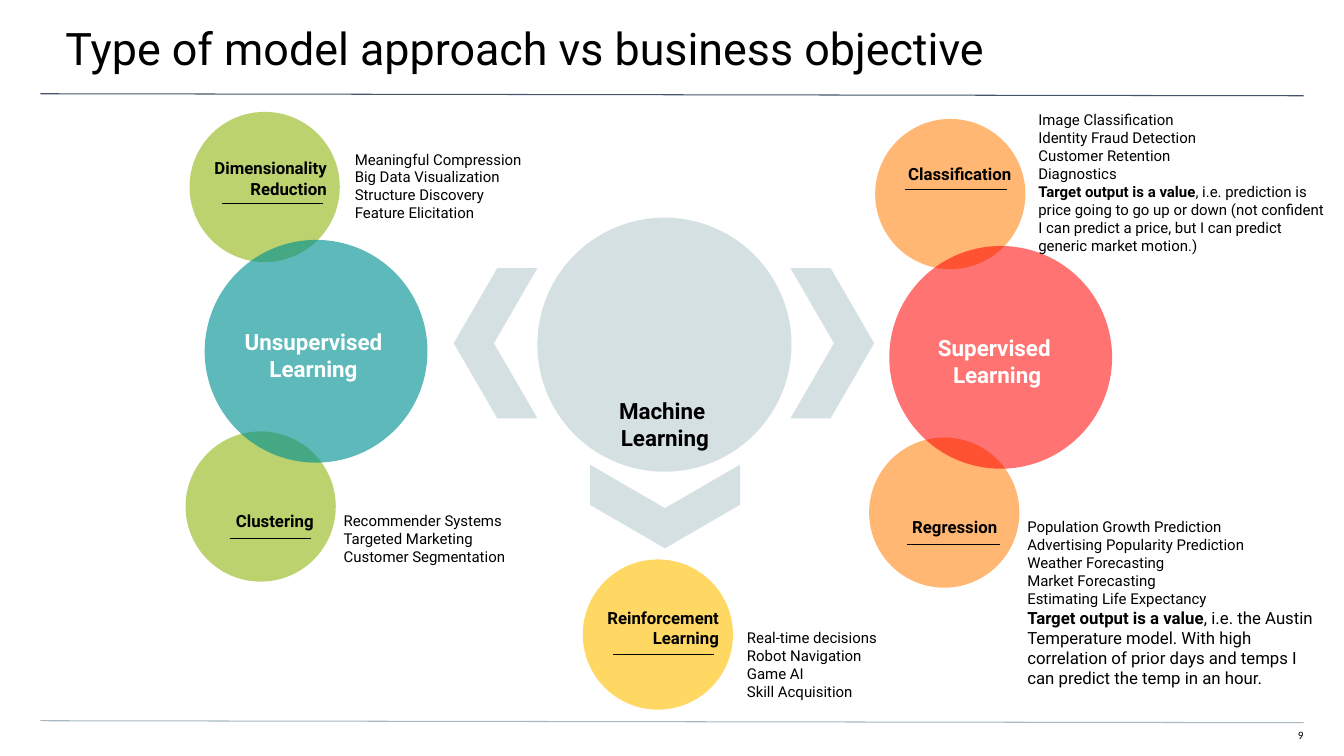
from lxml import etree
from pptx import Presentation
from pptx import util as u
from pptx.dml.color import RGBColor
from pptx.enum import shapes, text
from pptx.oxml import ns

COLORS = {"black": "000000", "white": "FFFFFF", "navy": "44546A", "steel": "A9B7C0",
          "green": "AFCA54", "gray": "C9D7DB", "teal": "009193",
          "orange": "FF7C00", "red": "FF0000", "yellow": "FFC000"}
LEFT, CENTER, RIGHT = text.PP_ALIGN.LEFT, text.PP_ALIGN.CENTER, text.PP_ALIGN.RIGHT
OVAL, CHEVRON = shapes.MSO_SHAPE.OVAL, shapes.MSO_SHAPE.CHEVRON

prs = Presentation()
prs.slide_width, prs.slide_height = u.Inches(13.33), u.Inches(7.5)
s = prs.slides.add_slide(prs.slide_layouts[6])


def add_shape(kind, x, y, w, h, color, alpha):
    sp = s.shapes.add_shape(kind, *map(u.Inches, (x, y, w, h)))
    sp.shadow.inherit = False
    sp.fill.solid()
    sp.fill.fore_color.rgb = RGBColor.from_string(COLORS[color])
    sp.line.fill.background()
    clr = sp.fill._xPr.find(".//" + ns.qn("a:srgbClr"))
    etree.SubElement(clr, ns.qn("a:alpha"), val=str(alpha * 1000))
    return sp


def add_text(x, y, w, h, paragraphs, size, color="black", align=LEFT, bold=False,
             font="Roboto", insets=(0.1, 0.05, 0.1, 0.05)):
    """Each paragraph is a string or a list of (text, format values) runs."""
    tf = s.shapes.add_textbox(*map(u.Inches, (x, y, w, h))).text_frame
    tf.word_wrap = True
    for side, inset in zip(("left", "top", "right", "bottom"), insets):
        setattr(tf, "margin_" + side, u.Inches(inset))
    for i, runs in enumerate(paragraphs):
        p = tf.add_paragraph() if i else tf.paragraphs[0]
        p.alignment = align
        for words, changes in [(runs, {})] if isinstance(runs, str) else runs:
            for n, line in enumerate(words.split("\n")):
                if n:
                    p.add_line_break()
                r = p.add_run()
                r.text = line
                values = {"name": font, "size": u.Pt(size), "bold": bold, **changes}
                for key, value in values.items():
                    setattr(r.font, key, value)
                r.font.color.rgb = RGBColor.from_string(COLORS[color])
    return tf


# Title and page number
title = add_text(0, 0, 13.33, 0.78, ["Type of model approach vs business objective"], 32,
                 insets=(0.65, 0.27, 0.4, 0.13))
title.paragraphs[0].line_spacing = 0.9
add_text(12.55, 7.23, 0.38, 0.15, ["9"], 8, align=RIGHT, font="Calibri",
         insets=(0, 0, 0, 0.13))

# Circles, the large ones over the small ones
for x, y, size, color, alpha in [
        (1.88, 1.11, 1.49, "green", 84), (1.84, 4.28, 1.49, "green", 84),
        (8.68, 1.18, 1.49, "orange", 55), (8.62, 4.34, 1.49, "orange", 55),
        (5.78, 5.55, 1.49, "yellow", 61), (5.33, 2.16, 2.52, "gray", 77),
        (2.03, 2.38, 2.21, "teal", 63), (8.82, 2.44, 2.21, "red", 55)]:
    add_shape(OVAL, x, y, size, size, color, alpha)

# Chevrons pointing down, right and left
for x, y, angle in [(6.18, 4.28, 90), (7.84, 2.66, 0), (4.5, 2.66, 180)]:
    chevron = add_shape(CHEVRON, x, y, 0.83, 1.49, "gray", 77)
    chevron.adjustments[0] = 0.52
    chevron.rotation = angle

# Rules of the page and under the circle labels
for x1, y1, x2, y2, color in [
        (0.4, 0.93, 12.93, 0.95, "navy"), (0.4, 7.15, 12.93, 7.17, "steel"),
        (2.2, 2.02, 3.2, 2.02, "black"), (2.28, 5.34, 3.08, 5.34, "black"),
        (8.98, 1.88, 9.99, 1.88, "black"), (9, 5.4, 9.92, 5.4, "black"),
        (6.08, 6.49, 7.08, 6.49, "black")]:
    rule = s.shapes.add_connector(shapes.MSO_CONNECTOR.STRAIGHT,
                                  *map(u.Inches, (x1, y1, x2, y2)))
    rule.line.width = u.Pt(0.75)
    rule.line.color.rgb = RGBColor.from_string(COLORS[color])
    etree.SubElement(rule._element.spPr, ns.qn("a:effectLst"))

# Names of the learning types
for x, y, w, name, color in [
        (5.76, 3.89, 1.67, "Machine \nLearning", "black"),
        (1.98, 3.21, 2.26, "Unsupervised Learning", "white"),
        (8.76, 3.27, 2.26, "Supervised \nLearning", "white")]:
    add_text(x, y, w, 0.64, [name], 16, color, CENTER, True)

# Names of the approaches
for x, y, h, name in [
        (1.67, 1.52, 0.5, "Dimensionality Reduction"), (1.54, 5.02, 0.3, "Clustering"),
        (8.46, 1.58, 0.3, "Classification"), (8.32, 5.08, 0.3, "Regression"),
        (5.56, 5.98, 0.5, "Reinforcement Learning")]:
    add_text(x, y, 1.67, h, [name], 12, align=RIGHT, bold=True)

# Business objectives
target = "Target output is a value"
large = {"size": u.Pt(12)}
for x, y, w, h, objectives in [
        (3.42, 1.44, 2.09, 0.84, ["Meaningful Compression", "Big Data Visualization",
                                  "Structure Discovery", "Feature Elicitation"]),
        (3.31, 5.03, 2.09, 0.66, ["Recommender Systems", "Targeted Marketing",
                                  "Customer Segmentation"]),
        (7.31, 6.19, 2.09, 0.84, ["Real-time decisions", "Robot Navigation",
                                  "Game AI", "Skill Acquisition"]),
        (10.2, 1.05, 3.08, 1.47, [
            "Image Classification", "Identity Fraud Detection", "Customer Retention",
            "Diagnostics",
            [(target, {"bold": True}),
             (", i.e. prediction is price going to go up or down (not confident I can "
              "predict a price, but I can predict generic market motion.)", {})]]),
        (10.09, 5.09, 3.08, 1.03, [
            "Population Growth Prediction", "Advertising Popularity Prediction",
            "Weather Forecasting", "Market Forecasting", "Estimating Life Expectancy",
            [(target, {"bold": True, **large}),
             (", i.e. the Austin Temperature model. With high correlation of prior days "
              "and temps I can predict the temp in an hour.", large)]])]:
    add_text(x, y, w, h, objectives, 10.7)

prs.save("out.pptx")
